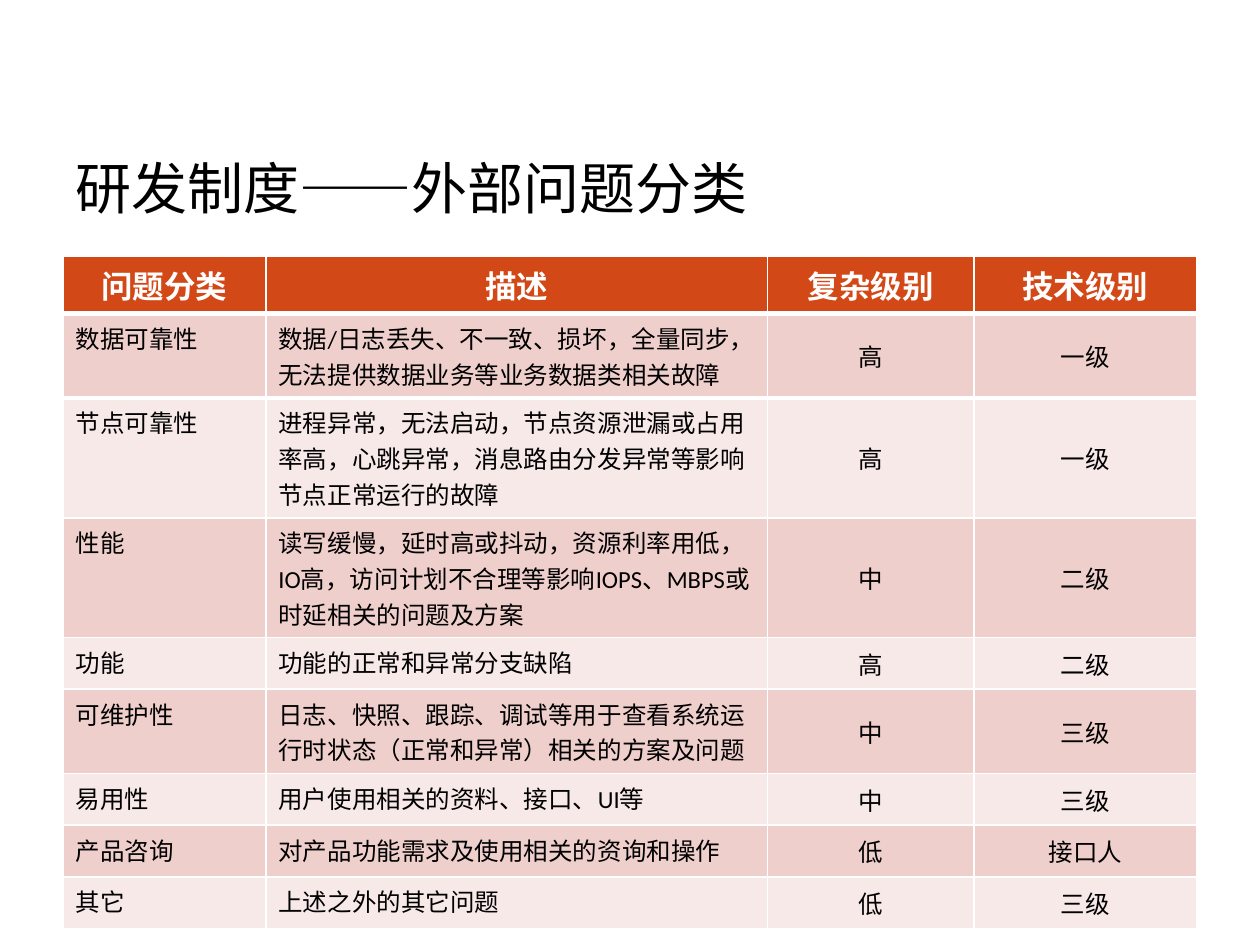
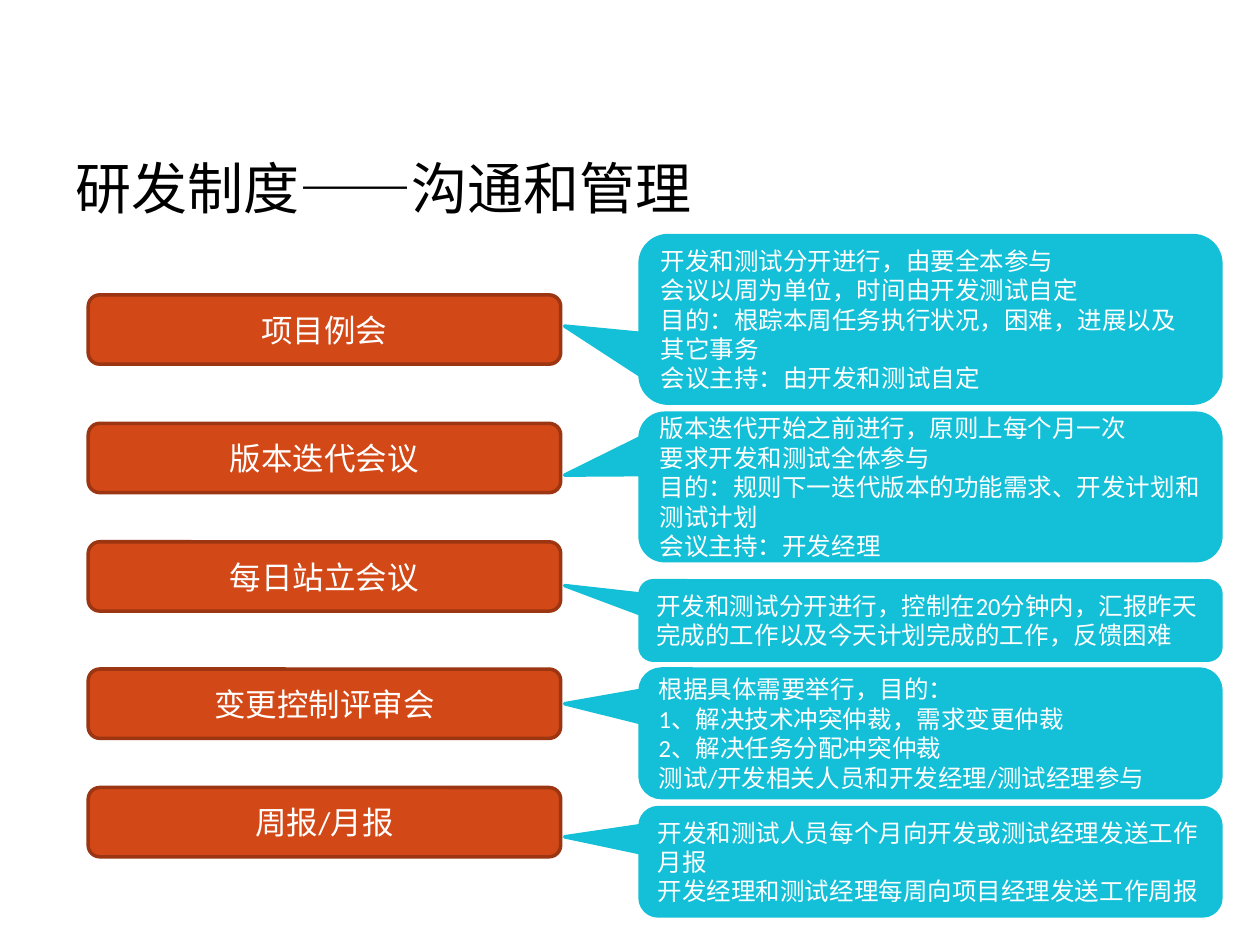
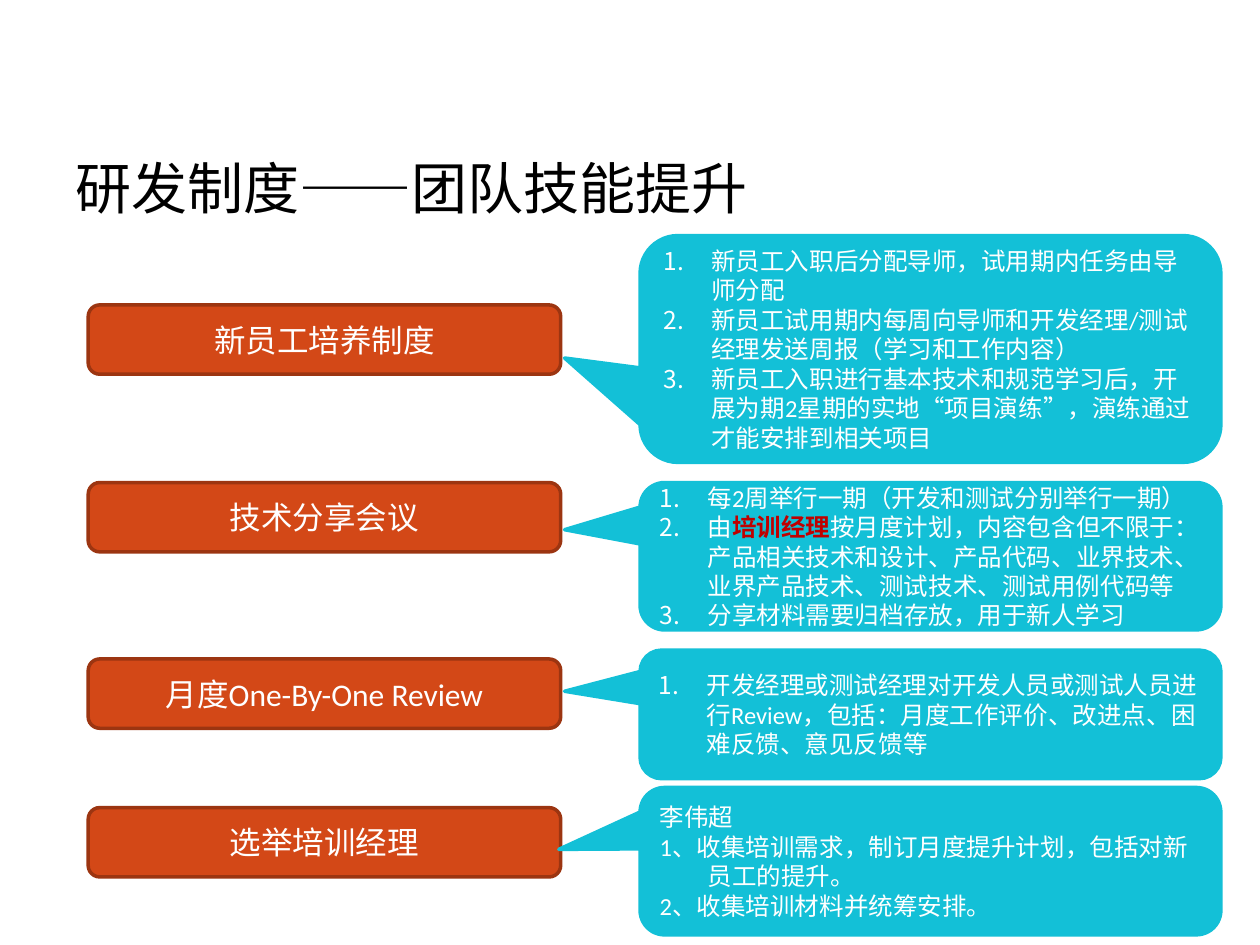
"""Build three slides on R&D rules: issue classes, meetings and skill growth."""
from lxml import etree
from pptx import Presentation
from pptx.dml.color import RGBColor
from pptx.enum import shapes, text
from pptx.oxml import ns
from pptx.util import Inches, Pt

BLACK = RGBColor(0x00, 0x00, 0x00)
WHITE = RGBColor(0xFF, 0xFF, 0xFF)
RUST = RGBColor(0xD3, 0x48, 0x17)
BROWN = RGBColor(0x9C, 0x35, 0x11)
CYAN = RGBColor(0x13, 0xC0, 0xD7)
RED = RGBColor(0xC0, 0x00, 0x00)
ROSE = RGBColor(0xEF, 0xCF, 0xCC)
BLUSH = RGBColor(0xF7, 0xE9, 0xE8)
LEFT, MID = text.PP_ALIGN.LEFT, text.PP_ALIGN.CENTER
TOP, CENTRE = text.MSO_ANCHOR.TOP, text.MSO_ANCHOR.MIDDLE


def write(frame, lines, size=14, color=WHITE, bold=False, font="Calibri",
          align=LEFT, anchor=CENTRE, hang=False, count=False):
    """Fill a frame with lines; parts between ** marks are bold red."""
    frame.word_wrap = True
    frame.vertical_anchor = anchor
    for i, line in enumerate(lines):
        para = frame.paragraphs[0] if i == 0 else frame.add_paragraph()
        para.alignment = align
        props = para._p.get_or_add_pPr()
        if hang:
            props.set("marL", str(Inches(0.38)))
            props.set("indent", str(-Inches(0.38)))
        if count:
            mark = etree.SubElement(props, ns.qn("a:buAutoNum"))
            mark.set("type", "arabicPeriod")
        for k, part in enumerate(line.split("**")):
            run = para.add_run()
            run.text = part
            run.font.name = font
            run.font.size = Pt(size)
            run.font.bold = bold or k % 2 == 1
            run.font.color.rgb = RED if k % 2 else color


def block(slide, kind, box, fill, edge):
    """Add a filled shape with a 2 pt edge."""
    shape = slide.shapes.add_shape(kind, *[Inches(n) for n in box])
    shape.shadow.inherit = False
    shape.fill.solid()
    shape.fill.fore_color.rgb = fill
    shape.line.color.rgb = edge
    shape.line.width = Pt(2)
    return shape


deck = Presentation()
deck.slide_width, deck.slide_height = Inches(10), Inches(7.5)

pages = []
for topic in ["外部问题分类", "沟通和管理", "团队技能提升"]:
    slide = deck.slides.add_slide(deck.slide_layouts[6])
    title = slide.shapes.add_textbox(Inches(0.5), Inches(0.86), Inches(9), Inches(1.25))
    write(title.text_frame, ["研发制度——" + topic], size=32, color=BLACK, font="Roboto")
    pages.append(slide)

rows = [
    (0.46, "问题分类", "描述", "复杂级别", "技术级别"),
    (0.67, "数据可靠性", "数据/日志丢失、不一致、损坏，全量同步，无法提供数据业务等业务数据类相关故障", "高", "一级"),
    (0.95, "节点可靠性", "进程异常，无法启动，节点资源泄漏或占用率高，心跳异常，消息路由分发异常等影响节点正常运行的故障", "高", "一级"),
    (0.95, "性能", "读写缓慢，延时高或抖动，资源利率用低，IO高，访问计划不合理等影响IOPS、MBPS或时延相关的问题及方案", "中", "二级"),
    (0.41, "功能", "功能的正常和异常分支缺陷", "高", "二级"),
    (0.67, "可维护性", "日志、快照、跟踪、调试等用于查看系统运行时状态（正常和异常）相关的方案及问题", "中", "三级"),
    (0.41, "易用性", "用户使用相关的资料、接口、UI等", "中", "三级"),
    (0.41, "产品咨询", "对产品功能需求及使用相关的资询和操作", "低", "接口人"),
    (0.41, "其它", "上述之外的其它问题", "低", "三级"),
]
total = sum(row[0] for row in rows)
table = pages[0].shapes.add_table(
    len(rows), 4, Inches(0.5), Inches(2.03), Inches(9), Inches(total)).table
for col, wide in zip(table.columns, [1.61, 3.98, 1.64, 1.77]):
    col.width = Inches(wide)
for r, (high, *row) in enumerate(rows):
    table.rows[r].height = Inches(high)
    for c, words in enumerate(row):
        cell = table.cell(r, c)
        cell.fill.solid()
        if r == 0:
            cell.fill.fore_color.rgb = RUST
            write(cell.text_frame, [words], size=18, bold=True, align=MID, anchor=TOP)
        else:
            cell.fill.fore_color.rgb = ROSE if r % 2 else BLUSH
            write(cell.text_frame, [words], color=BLACK, align=MID if c > 1 else LEFT)
        cell.vertical_anchor = CENTRE if r and c > 1 else TOP
        if r < 2:
            rule = etree.Element(ns.qn("a:lnT" if r else "a:lnB"), w=str(Pt(3)))
            paint = etree.SubElement(rule, ns.qn("a:solidFill"))
            etree.SubElement(paint, ns.qn("a:srgbClr"), val=str(WHITE))
            cell._tc.get_or_add_tcPr().insert(0, rule)

meets = [
    ("项目例会", 2.34, 1.87, 1.33, (-0.63, 0.04), "", [
        "开发和测试分开进行，由要全本参与",
        "会议以周为单位，时间由开发测试自定",
        "目的：根踪本周任务执行状况，困难，进展以及其它事务",
        "会议主持：由开发和测试自定"]),
    ("版本迭代会议", 3.36, 3.28, 1.17, (-0.63, -0.08), "", [
        "版本迭代开始之前进行，原则上每个月一次",
        "要求开发和测试全体参与",
        "目的：规则下一迭代版本的功能需求、开发计划和测试计划",
        "会议主持：开发经理"]),
    ("每日站立会议", 4.3, 4.61, 0.63, (-0.63, -0.44), "", [
        "开发和测试分开进行，控制在20分钟内，汇报昨天完成的工作以及今天计划完成的工作，反馈困难"]),
    ("变更控制评审会", 5.31, 5.31, 1.02, (-0.63, -0.23), "", [
        "根据具体需要举行，目的：",
        "1、解决技术冲突仲裁，需求变更仲裁",
        "2、解决任务分配冲突仲裁",
        "测试/开发相关人员和开发经理/测试经理参与"]),
    ("周报/月报", 6.25, 6.41, 0.86, (-0.63, -0.23), "", [
        "开发和测试人员每个月向开发或测试经理发送工作月报",
        "开发经理和测试经理每周向项目经理发送工作周报"]),
]
skills = [
    ("新员工培养制度", 2.42, 1.87, 1.8, (-0.63, 0.04), "count", [
        "新员工入职后分配导师，试用期内任务由导师分配",
        "新员工试用期内每周向导师和开发经理/测试经理发送周报（学习和工作内容）",
        "新员工入职进行基本技术和规范学习后，开展为期2星期的实地“项目演练”，演练通过才能安排到相关项目"]),
    ("技术分享会议", 3.83, 3.83, 1.17, (-0.63, -0.18), "count", [
        "每2周举行一期（开发和测试分别举行一期）",
        "由**培训经理**按月度计划，内容包含但不限于：产品相关技术和设计、产品代码、业界技术、业界产品技术、测试技术、测试用例代码等",
        "分享材料需要归档存放，用于新人学习"]),
    ("月度One-By-One Review", 5.23, 5.16, 1.02, (-0.63, -0.18), "count", [
        "开发经理或测试经理对开发人员或测试人员进行Review，包括：月度工作评价、改进点、困难反馈、意见反馈等"]),
    ("选举培训经理", 6.41, 6.25, 1.17, (-0.64, -0.08), "hang", [
        "李伟超",
        "1、收集培训需求，制订月度提升计划，包括对新员工的提升。",
        "2、收集培训材料并统筹安排。"]),
]
for slide, items in zip(pages[1:], [meets, skills]):
    for name, y, top, tall, tip, mode, notes in items:
        label = block(slide, shapes.MSO_SHAPE.ROUNDED_RECTANGLE,
                      (0.7, y, 3.75, 0.55), RUST, BROWN)
        write(label.text_frame, [name], size=18, align=MID)
        bubble = block(slide, shapes.MSO_SHAPE.ROUNDED_RECTANGULAR_CALLOUT,
                       (5.08, top, 4.61, tall), CYAN, CYAN)
        bubble.adjustments[0], bubble.adjustments[1] = tip
        write(bubble.text_frame, notes, hang=mode != "", count=mode == "count")

deck.save("out.pptx")
